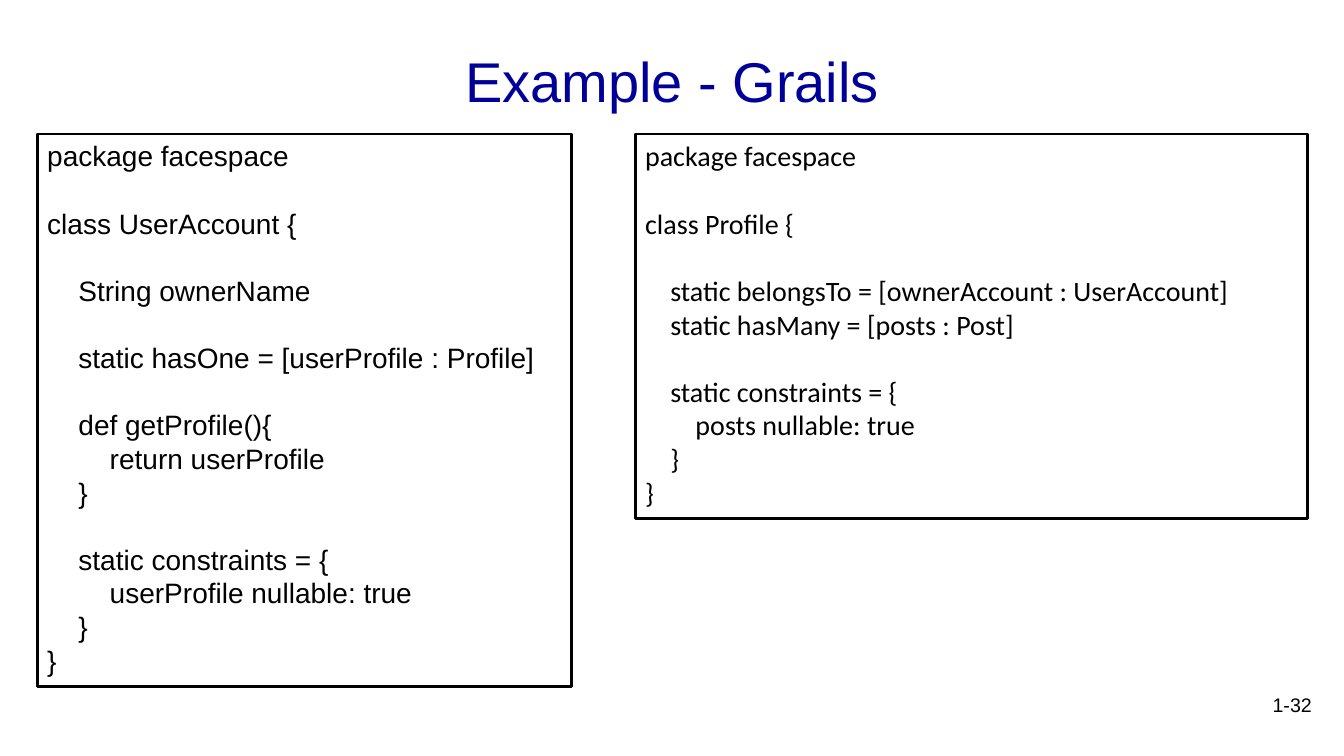
"""Build the Grails example slide with two domain class listings."""
from pptx import Presentation
from pptx import util as u
from pptx.dml.color import RGBColor
from pptx.enum import shapes, text

BLACK = RGBColor(0x00, 0x00, 0x00)
WHITE = RGBColor(0xFF, 0xFF, 0xFF)
NAVY = RGBColor(0x00, 0x00, 0x99)

TITLE = "Example - Grails"
PAGE_NUMBER = "1-32"
USER_ACCOUNT = [
    [(0, "package facespace")],
    [(0, "class UserAccount {")],
    [(1, "String ownerName")],
    [(1, "static hasOne = [userProfile : Profile]")],
    [(1, "def getProfile(){"), (2, "return userProfile"), (1, "}")],
    [(1, "static constraints = {"), (2, "userProfile nullable: true"),
     (1, "}"), (0, "}")],
]
PROFILE = [
    [(0, "package facespace")],
    [(0, "class Profile {")],
    [(1, "static belongsTo = [ownerAccount : UserAccount]"),
     (1, "static hasMany = [posts : Post]")],
    [(1, "static constraints = {"), (2, "posts nullable: true"),
     (1, "}"), (0, "}")],
]
LISTINGS = [
    {"groups": USER_ACCOUNT, "left": 0.37, "width": 5.3, "font": "Arial", "indent": 0.31},
    {"groups": PROFILE, "left": 6.3, "width": 6.67, "font": "Calibri", "indent": 0.25},
]

SLIDE_WIDTH, SLIDE_HEIGHT = 13.33, 7.5
LISTING_TOP = 1.33
LINE_POINTS = 24
BOX_PADDING = 0.15


def style(paragraph, font_name, size, color):
    for run in paragraph.runs:
        run.font.name = font_name
        run.font.size = u.Pt(size)
        run.font.color.rgb = color


def add_label(slide, box, label, size, color, alignment, anchor):
    shape = slide.shapes.add_textbox(*map(u.Inches, box))
    frame = shape.text_frame
    frame.word_wrap = True
    frame.vertical_anchor = anchor
    frame.text = label
    frame.paragraphs[0].alignment = alignment
    style(frame.paragraphs[0], "Arial", size, color)


def add_listing(slide, groups, left, width, font, indent):
    rows = sum(map(len, groups)) + len(groups) - 1
    height = rows * LINE_POINTS / 72 + BOX_PADDING
    box = map(u.Inches, (left, LISTING_TOP, width, height))
    shape = slide.shapes.add_shape(shapes.MSO_SHAPE.RECTANGLE, *box)
    shape.shadow.inherit = False
    shape.fill.solid()
    shape.fill.fore_color.rgb = WHITE
    shape.line.color.rgb = BLACK
    shape.line.width = u.Pt(2)
    frame = shape.text_frame
    frame.word_wrap = True
    frame.vertical_anchor = text.MSO_ANCHOR.TOP
    lines = [(level, code, group_index > 0 and line_index == 0)
             for group_index, group in enumerate(groups)
             for line_index, (level, code) in enumerate(group)]
    frame.text = "\n".join(code for _, code, _ in lines)
    for paragraph, (level, _, has_gap) in zip(frame.paragraphs, lines):
        paragraph.alignment = text.PP_ALIGN.LEFT
        paragraph.line_spacing = u.Pt(LINE_POINTS)
        paragraph.space_before = u.Pt(LINE_POINTS if has_gap else 0)
        properties = paragraph._p.get_or_add_pPr()
        properties.set("marL", str(u.Inches(level * indent)))
        properties.set("indent", "0")
        style(paragraph, font, 20, BLACK)


def main():
    presentation = Presentation()
    presentation.slide_width = u.Inches(SLIDE_WIDTH)
    presentation.slide_height = u.Inches(SLIDE_HEIGHT)
    slide = presentation.slides.add_slide(presentation.slide_layouts[6])
    add_label(slide, (1, 0.17, SLIDE_WIDTH - 2, 1.25), TITLE, 40, NAVY,
              text.PP_ALIGN.CENTER, text.MSO_ANCHOR.MIDDLE)
    add_label(slide, (10.33, 6.83, 2.78, 0.5), PAGE_NUMBER, 14, BLACK,
              text.PP_ALIGN.RIGHT, text.MSO_ANCHOR.TOP)
    for listing in LISTINGS:
        add_listing(slide, **listing)
    presentation.save("out.pptx")


if __name__ == "__main__":
    main()
